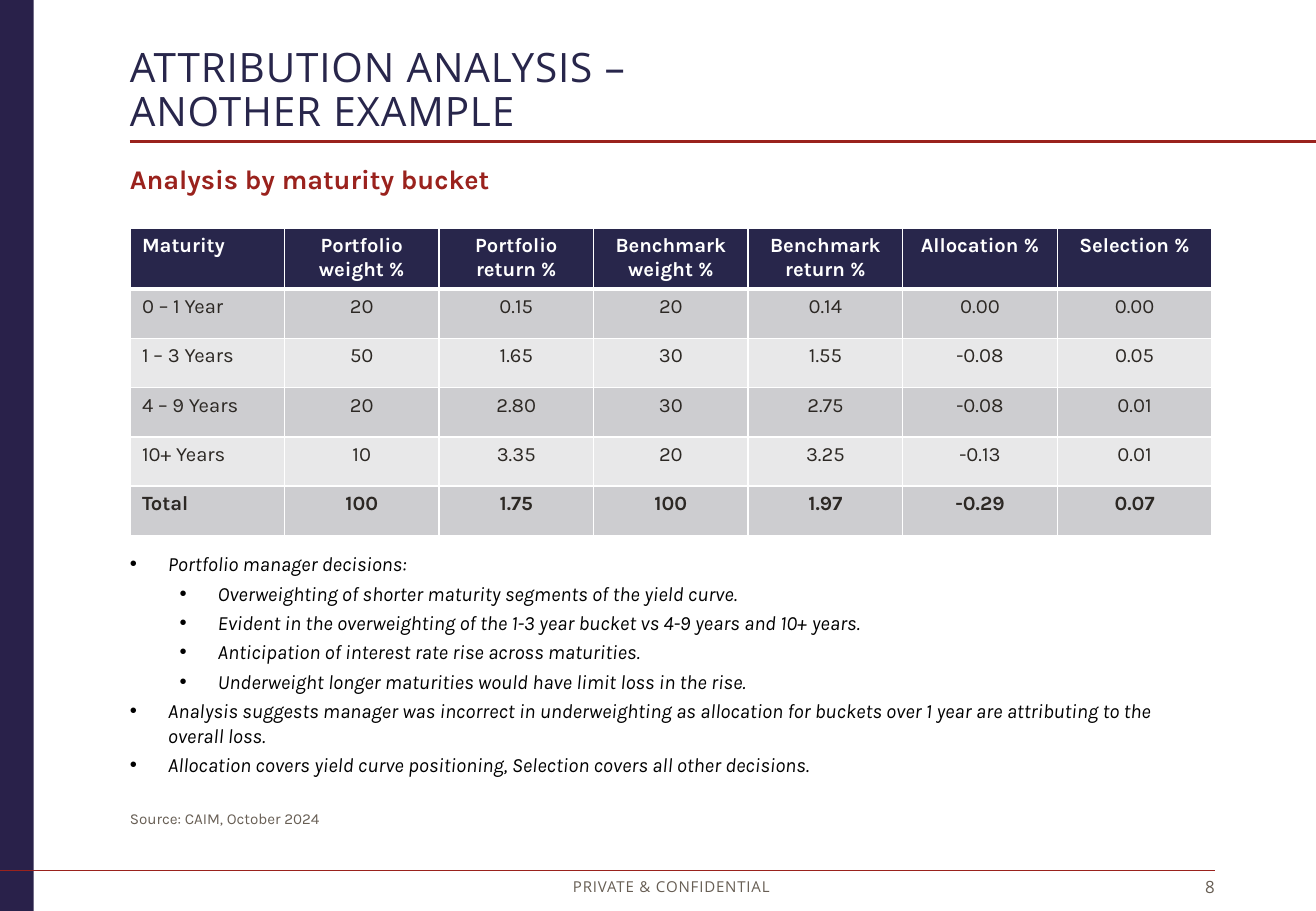
from lxml.etree import SubElement
from pptx import Presentation
from pptx.dml.color import RGBColor
from pptx.enum.shapes import MSO_CONNECTOR, MSO_SHAPE
from pptx.enum.text import MSO_ANCHOR, PP_ALIGN
from pptx.oxml.ns import qn
from pptx.util import Pt

WHITE = RGBColor(0xFF, 0xFF, 0xFF)
BLACK = RGBColor(0, 0, 0)
BAND = RGBColor(0x29, 0x21, 0x4A)
NAVY = RGBColor(0x28, 0x26, 0x4B)
RED = RGBColor(0x9A, 0x22, 0x1D)
TAUPE = RGBColor(0x67, 0x5E, 0x54)
INK = RGBColor(0x2C, 0x28, 0x24)
DARK_ROW = RGBColor(0xCD, 0xCD, 0xD0)
LIGHT_ROW = RGBColor(0xE8, 0xE8, 0xE9)

WIDTH, HEIGHT = 780, 540
LEFT, CONTENT_W = 77, 641.5

ROWS = [
    ["Maturity", "Portfolio weight %", "Portfolio return %", "Benchmark weight %",
     "Benchmark return %", "Allocation %", "Selection %"],
    ["0 – 1 Year", "20", "0.15", "20", "0.14", "0.00", "0.00"],
    ["1 – 3 Years", "50", "1.65", "30", "1.55", "-0.08", "0.05"],
    ["4 – 9 Years", "20", "2.80", "30", "2.75", "-0.08", "0.01"],
    ["10+ Years", "10", "3.35", "20", "3.25", "-0.13", "0.01"],
    ["Total", "100", "1.75", "100", "1.97", "-0.29", "0.07"],
]

BULLETS = [
    (0, "Portfolio manager decisions:"),
    (1, "Overweighting of shorter maturity segments of the yield curve."),
    (1, "Evident in the overweighting of the 1-3 year bucket vs 4-9 years and 10+ years."),
    (1, "Anticipation of interest rate rise across maturities."),
    (1, "Underweight longer maturities would have limit loss in the rise."),
    (0, "Analysis suggests manager was incorrect in underweighting as allocation for "
        "buckets over 1 year are attributing to the overall loss."),
    (0, "Allocation covers yield curve positioning, Selection covers all other decisions."),
]


class SlideBuilder:
    """Draws styled elements on one slide, with lengths in points."""

    def __init__(self, slide, body_font="Karla", head_font="Open Sans"):
        self.s = slide
        self.body_font = body_font
        self.head_font = head_font

    def format(self, p, size, color, font=None, bold=False, italic=False, spacing=0):
        for r in p.runs:
            r.font.name = font or self.body_font
            r.font.size = Pt(size)
            r.font.color.rgb = color
            r.font.bold = bold
            r.font.italic = italic
            if spacing:
                r._r.get_or_add_rPr().set("spc", str(int(spacing * 100)))

    def frame(self, x, y, w, h, anchor=MSO_ANCHOR.TOP):
        tf = self.s.shapes.add_textbox(Pt(x), Pt(y), Pt(w), Pt(h)).text_frame
        tf.margin_left = tf.margin_right = tf.margin_top = tf.margin_bottom = 0
        tf.word_wrap = True
        tf.vertical_anchor = anchor
        return tf

    def text(self, x, y, w, h, text, size, color, align=PP_ALIGN.LEFT,
             anchor=MSO_ANCHOR.TOP, line_spacing=None, **style):
        p = self.frame(x, y, w, h, anchor).paragraphs[0]
        p.text = text
        p.alignment = align
        p.line_spacing = line_spacing
        self.format(p, size, color, **style)

    def bullets(self, x, y, w, h, items):
        tf = self.frame(x, y, w, h)
        for i, (level, text) in enumerate(items):
            p = tf.paragraphs[0] if i == 0 else tf.add_paragraph()
            p.text = text
            p.level = level
            pPr = p._p.get_or_add_pPr()
            pPr.set("marL", str(Pt(22.5 + 29.5 * level)))
            pPr.set("indent", str(-Pt(22.5)))
            SubElement(pPr, qn("a:buFont")).set("typeface", "Arial")
            SubElement(pPr, qn("a:buChar")).set("char", "•")
            p.space_after = Pt(3)
            self.format(p, 12, BLACK, italic=True)

    def rect(self, x, y, w, h, color):
        sp = self.s.shapes.add_shape(MSO_SHAPE.RECTANGLE, Pt(x), Pt(y), Pt(w), Pt(h))
        sp.shadow.inherit = False
        sp.fill.solid()
        sp.fill.fore_color.rgb = color
        sp.line.fill.background()

    def rule(self, x1, x2, y, color, width):
        line = self.s.shapes.add_connector(MSO_CONNECTOR.STRAIGHT, Pt(x1), Pt(y), Pt(x2), Pt(y))
        line.line.color.rgb = color
        line.line.width = Pt(width)
        SubElement(line._element.spPr, qn("a:effectLst"))

    def borders(self, cell, widths):
        tcPr = cell._tc.get_or_add_tcPr()
        for side, width in zip("LRTB", widths):
            ln = SubElement(tcPr, qn(f"a:ln{side}"))
            ln.set("w", str(Pt(width)))
            fill = SubElement(ln, qn("a:solidFill"))
            SubElement(fill, qn("a:srgbClr")).set("val", str(WHITE))

    def table(self, x, y, w, row_h, rows):
        n, m = len(rows), len(rows[0])
        table = self.s.shapes.add_table(n, m, Pt(x), Pt(y), Pt(w), Pt(n * row_h)).table
        table.horz_banding = False
        for col in table.columns:
            col.width = Pt(w / m)
        for i, row in enumerate(rows):
            table.rows[i].height = Pt(row_h)
            fill = NAVY if i == 0 else DARK_ROW if i % 2 else LIGHT_ROW
            for j, value in enumerate(row):
                cell = table.cell(i, j)
                self.borders(cell, (1, 1, 3 if i == 1 else 1, 3 if i == 0 else 1))
                cell.fill.solid()
                cell.fill.fore_color.rgb = fill
                p = cell.text_frame.paragraphs[0]
                p.text = value
                p.alignment = PP_ALIGN.CENTER if j else PP_ALIGN.LEFT
                self.format(p, 12, INK if i else WHITE, bold=i in (0, n - 1))


def main():
    prs = Presentation()
    prs.slide_width, prs.slide_height = Pt(WIDTH), Pt(HEIGHT)
    s = SlideBuilder(prs.slides.add_slide(prs.slide_layouts[6]))
    s.rect(0, 0, 20, HEIGHT, BAND)
    s.text(680, 519.5, 40, 12.5, "8", 10, TAUPE, align=PP_ALIGN.RIGHT, font=s.head_font)
    s.text(315, 520.25, 166, 12.5, "PRIVATE & CONFIDENTIAL", 8.9, TAUPE,
           align=PP_ALIGN.CENTER, font=s.head_font, spacing=0.5)
    s.rule(0, 720, 516, RED, 1)
    s.rule(LEFT, WIDTH, 84, RED, 1.5)
    s.text(LEFT, 480, CONTENT_W, 11, "Source: CAIM, October 2024", 9, TAUPE)
    s.bullets(LEFT, 327, CONTENT_W, 134.5, BULLETS)
    s.table(LEFT, 135.25, CONTENT_W, 29.25, ROWS)
    s.text(LEFT, 96.5, CONTENT_W, 19.5, "Analysis by maturity bucket", 16, RED,
           anchor=MSO_ANCHOR.MIDDLE, bold=True)
    s.text(LEFT, 27.5, 497.5, 52.5, "ATTRIBUTION ANALYSIS –\vANOTHER EXAMPLE", 24, NAVY,
           anchor=MSO_ANCHOR.BOTTOM, line_spacing=0.9, font=s.head_font, spacing=0.5)
    prs.save("out.pptx")


if __name__ == "__main__":
    main()
